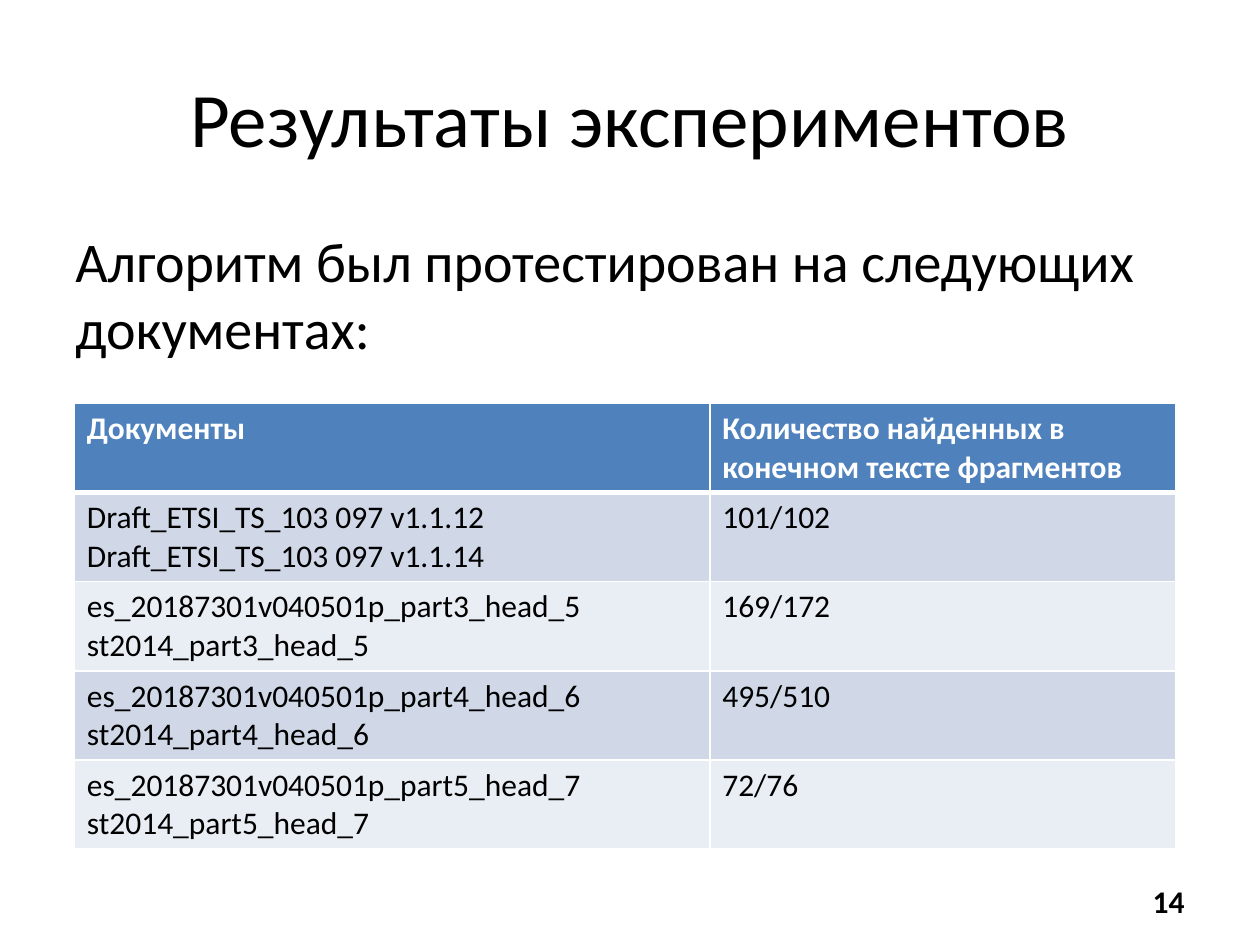
from dataclasses import dataclass

from lxml.etree import SubElement
from pptx import Presentation
from pptx.dml.color import RGBColor
from pptx.enum.text import MSO_ANCHOR, PP_ALIGN
from pptx.oxml.ns import qn
from pptx.util import Inches, Pt


@dataclass(frozen=True)
class Theme:
    """Colours, font and type sizes of the slide."""
    font: str = "Calibri"
    ink: str = "000000"
    paper: str = "FFFFFF"
    header: str = "4F81BD"
    bands: tuple = ("D0D8E8", "E9EDF4")
    title_size: int = 44
    body_size: int = 32
    small_size: int = 18
    rule: int = 1
    header_rule: int = 3


def write(frame, text, size, color, font, bold=False, align=PP_ALIGN.LEFT,
          anchor=MSO_ANCHOR.TOP, before=0):
    """Fill a text frame, one paragraph for each line of text."""
    frame.word_wrap = True
    frame.vertical_anchor = anchor
    for index, line in enumerate(text.split("\n")):
        para = frame.add_paragraph() if index else frame.paragraphs[0]
        para.alignment = align
        para.space_before = Pt(before)
        span = para.add_run()
        span.text = line
        span.font.name = font
        span.font.size = Pt(size)
        span.font.bold = bold
        span.font.color.rgb = RGBColor.from_string(color)


def set_borders(cell, color, widths):
    """Draw the cell's borders; widths maps a side letter to points."""
    properties = cell._tc.get_or_add_tcPr()
    for position, side in enumerate("LRTB"):
        line = properties.makeelement(qn(f"a:ln{side}"), {"w": str(Pt(widths[side]))})
        fill = SubElement(line, qn("a:solidFill"))
        SubElement(fill, qn("a:srgbClr"), val=color)
        properties.insert(position, line)


class SlideBuilder:
    """Holds the theme and the current slide and adds elements to it."""

    def __init__(self, deck, theme):
        """Start a title-only page."""
        self.deck, self.theme = deck, theme
        self.page = deck.slides.add_slide(deck.slide_layouts[5])

    def area(self, left, top, width, height):
        """Turn shares of the slide's size into lengths."""
        across, down = self.deck.slide_width, self.deck.slide_height
        return (round(left * across), round(top * down),
                round(width * across), round(height * down))

    def title(self, text, *shares):
        """Place and format the title placeholder."""
        box = self.page.shapes.title
        box.left, box.top, box.width, box.height = self.area(*shares)
        write(box.text_frame, text, self.theme.title_size, self.theme.ink,
              self.theme.font, align=PP_ALIGN.CENTER, anchor=MSO_ANCHOR.MIDDLE)

    def text(self, text, *shares, size, **style):
        """Add a text box."""
        box = self.page.shapes.add_textbox(*self.area(*shares))
        write(box.text_frame, text, size, self.theme.ink, self.theme.font, **style)

    def table(self, rows, column_shares, *shares):
        """Add a table with a header row and alternating bands."""
        theme = self.theme
        area = self.area(*shares)
        grid = self.page.shapes.add_table(len(rows), len(column_shares), *area).table
        for column, share in zip(grid.columns, column_shares):
            column.width = round(area[2] * share)
        for row_index, row in enumerate(rows):
            is_header = row_index == 0
            fill = theme.header if is_header else theme.bands[(row_index - 1) % 2]
            widths = dict.fromkeys("LRTB", theme.rule)
            if row_index < 2:
                widths["B" if is_header else "T"] = theme.header_rule
            for column_index, text in enumerate(row):
                cell = grid.cell(row_index, column_index)
                cell.fill.solid()
                cell.fill.fore_color.rgb = RGBColor.from_string(fill)
                write(cell.text_frame, text, theme.small_size,
                      theme.paper if is_header else theme.ink, theme.font,
                      bold=is_header)
                set_borders(cell, theme.paper, widths)


def main():
    """Build the results slide and save it."""
    theme = Theme()
    deck = Presentation()
    deck.slide_width, deck.slide_height = Inches(10), Inches(7.5)
    slide = SlideBuilder(deck, theme)

    slide.title("Результаты экспериментов", 0.05, 0.04, 0.9, 1 / 6)
    slide.text("Алгоритм был протестирован на следующих документах:",
               0.05, 0.2333, 0.9, 0.66, size=theme.body_size,
               before=0.2 * theme.body_size)

    results = [("Документы", "Количество найденных в конечном тексте фрагментов"),
               ("Draft_ETSI_TS_103 097 v1.1.12\nDraft_ETSI_TS_103 097 v1.1.14",
                "101/102")]
    for part, score in zip((3, 4, 5), ("169/172", "495/510", "72/76")):
        tail = f"part{part}_head_{part + 2}"
        results.append((f"es_20187301v040501p_{tail}\nst2014_{tail}", score))
    slide.table(results, (0.577, 0.423), 0.059, 0.4267, 0.874, 0.472)

    slide.text("14", 0.717, 0.9267, 0.233, 0.0533, size=theme.small_size,
               bold=True, align=PP_ALIGN.RIGHT, anchor=MSO_ANCHOR.MIDDLE)
    deck.save("out.pptx")


main()
